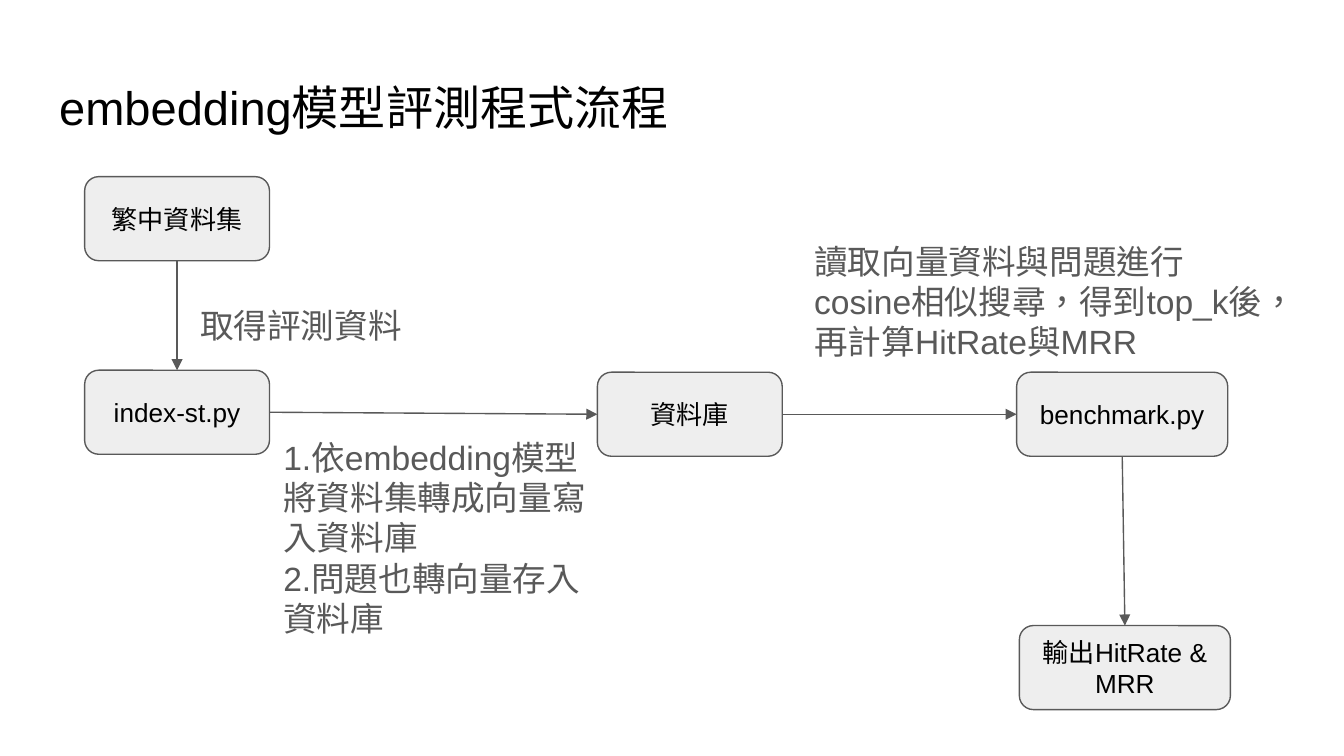
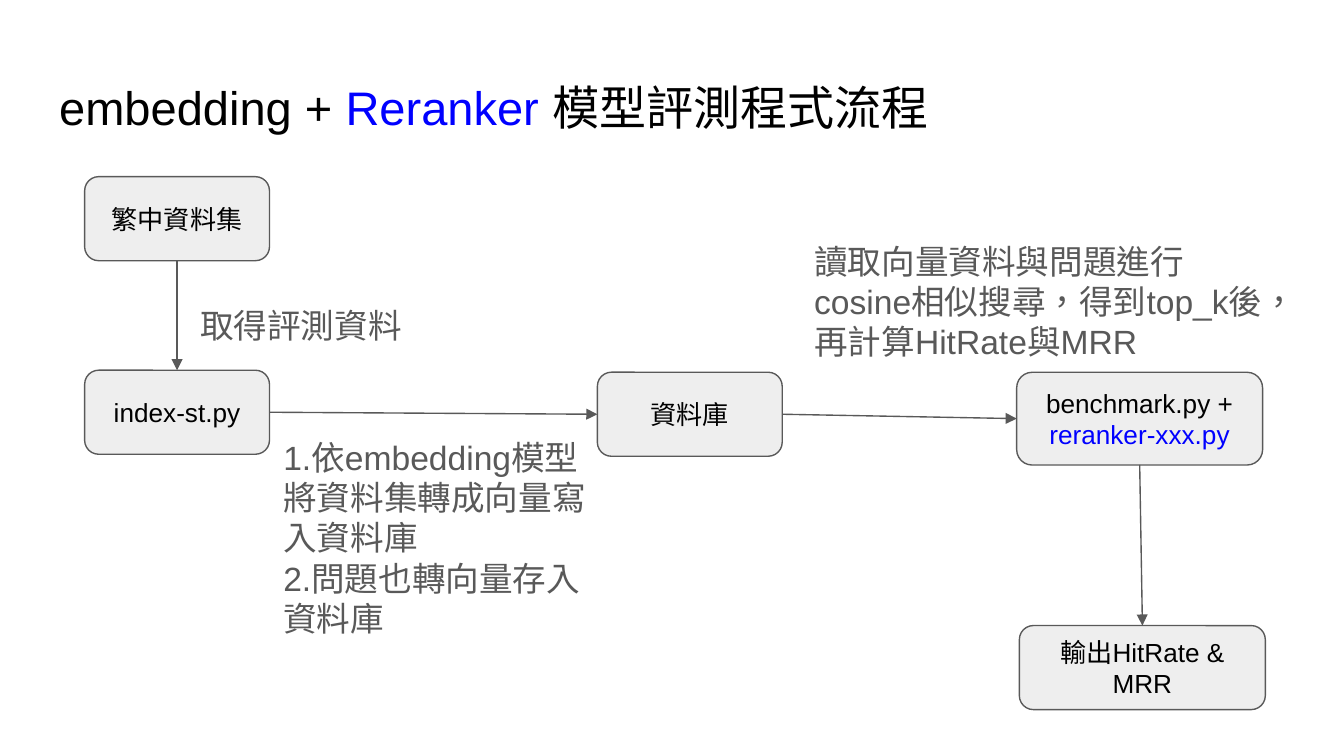
from lxml.etree import SubElement
from pptx import Presentation
from pptx.dml.color import RGBColor
from pptx.enum.shapes import MSO_CONNECTOR, MSO_SHAPE
from pptx.enum.text import MSO_ANCHOR, MSO_AUTO_SIZE, PP_ALIGN
from pptx.oxml.ns import qn
from pptx.util import Pt

PX = 4572
BLACK = RGBColor(0x00, 0x00, 0x00)
BLUE = RGBColor(0x00, 0x00, 0xFF)
GRAY = RGBColor(0x59, 0x59, 0x59)
LIGHT = RGBColor(0xEE, 0xEE, 0xEE)
FONT = "Arial"
LANGUAGE = "zh-TW"
INSET = 20
TOP, LEFT, BOTTOM, RIGHT = range(4)
BOX_WIDTH, BOX_HEIGHT = 275, 125

LABELS = [
    ((278, 434, 392, 72), ["取得評測資料"]),
    ((402, 630, 526, 346), ["1.依embedding模型將資料集轉成向量寫入資料庫",
                            "2.問題也轉向量存入資料庫"]),
    ((1192, 338, 716, 162), ["讀取向量資料與問題進行cosine相似搜尋，得到top_k後，再計算HitRate與MRR"]),
]
ARROWS = [
    ("dataset", BOTTOM, "index", TOP),
    ("index", RIGHT, "database", LEFT),
    ("database", RIGHT, "benchmark", LEFT),
    ("benchmark", BOTTOM, "output", TOP),
]
FLOWS = [
    {
        "title": [("embedding模型評測程式流程", BLACK)],
        "benchmark": [("benchmark.py", BLACK)],
        "benchmark_size": (314, BOX_HEIGHT),
    },
    {
        "title": [("embedding + ", BLACK), ("Reranker", BLUE), (" 模型評測程式流程", BLACK)],
        "benchmark": [("benchmark.py +", BLACK), ("\n", BLACK), ("reranker-xxx.py", BLUE)],
        "benchmark_size": (366, 138),
    },
]


def set_frame(shape, anchor):
    frame = shape.text_frame
    frame.word_wrap = True
    frame.auto_size = MSO_AUTO_SIZE.NONE
    frame.vertical_anchor = anchor
    frame.margin_left = frame.margin_right = INSET * PX
    frame.margin_top = frame.margin_bottom = INSET * PX
    return frame


def add_runs(paragraph, runs, size, alignment):
    paragraph.alignment = alignment
    for text, color in runs:
        if text == "\n":
            paragraph.add_line_break()
            continue
        run = paragraph.add_run()
        run.text = text
        run.font.size = Pt(size)
        run.font.name = FONT
        run.font.color.rgb = color
        run._r.get_or_add_rPr().set("lang", LANGUAGE)


presentation = Presentation()
presentation.slide_width = 2000 * PX
presentation.slide_height = 1125 * PX

for flow in FLOWS:
    slide = presentation.slides.add_slide(presentation.slide_layouts[5])

    title = slide.shapes.title
    title.left, title.top, title.width, title.height = [n * PX for n in (68, 97, 1864, 125)]
    frame = set_frame(title, MSO_ANCHOR.TOP)
    add_runs(frame.paragraphs[0], flow["title"], 25.2, PP_ALIGN.LEFT)

    wide, tall = flow["benchmark_size"]
    boxes = {
        "database": ((889, 554, BOX_WIDTH, BOX_HEIGHT), [("資料庫", BLACK)]),
        "dataset": ((126, 263, BOX_WIDTH, BOX_HEIGHT), [("繁中資料集", BLACK)]),
        "index": ((126, 551, BOX_WIDTH, BOX_HEIGHT), [("index-st.py", BLACK)]),
        "benchmark": ((1513, 554, wide, tall), flow["benchmark"]),
        "output": ((1517, 931, wide, BOX_HEIGHT), [("輸出HitRate & MRR", BLACK)]),
    }
    shapes = {}
    for name, (place, runs) in boxes.items():
        shape = slide.shapes.add_shape(MSO_SHAPE.ROUNDED_RECTANGLE, *[n * PX for n in place])
        shape.shadow.inherit = False
        shape.fill.solid()
        shape.fill.fore_color.rgb = LIGHT
        shape.line.color.rgb = GRAY
        shape.line.width = Pt(0.75)
        frame = set_frame(shape, MSO_ANCHOR.MIDDLE)
        add_runs(frame.paragraphs[0], runs, 14, PP_ALIGN.CENTER)
        shapes[name] = shape

    for start, start_side, end, end_side in ARROWS:
        arrow = slide.shapes.add_connector(MSO_CONNECTOR.STRAIGHT, 0, 0, 0, 0)
        arrow.begin_connect(shapes[start], start_side)
        arrow.end_connect(shapes[end], end_side)
        arrow.line.color.rgb = GRAY
        arrow.line.width = Pt(0.75)
        properties = arrow.element.spPr
        SubElement(properties.find(qn("a:ln")), qn("a:tailEnd"), type="triangle")
        SubElement(properties, qn("a:effectLst"))

    for place, lines in LABELS:
        label = slide.shapes.add_textbox(*[n * PX for n in place])
        frame = set_frame(label, MSO_ANCHOR.TOP)
        for number, line in enumerate(lines):
            paragraph = frame.add_paragraph() if number else frame.paragraphs[0]
            add_runs(paragraph, [(line, GRAY)], 18, PP_ALIGN.LEFT)

presentation.save("out.pptx")
